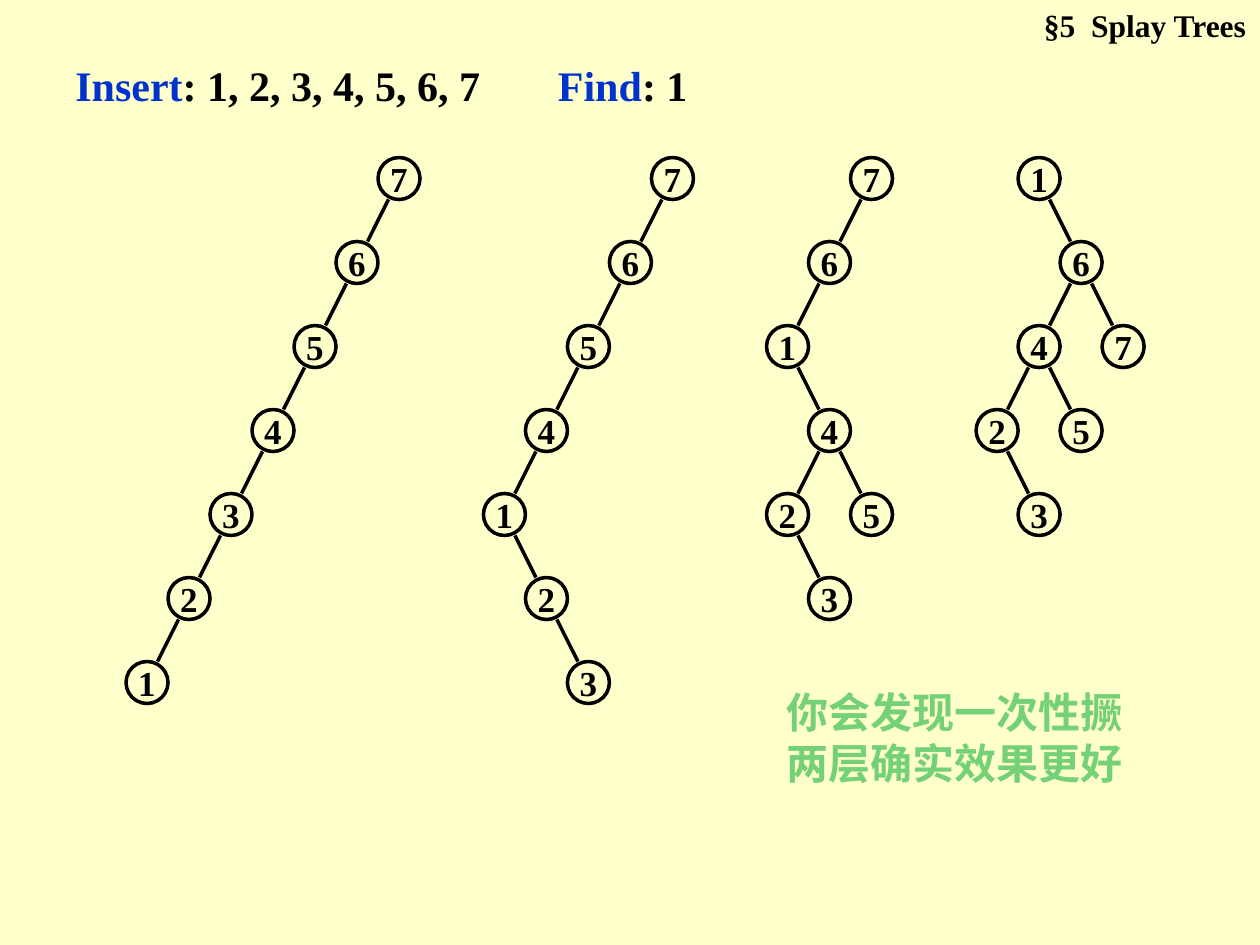
from lxml.etree import SubElement
from pptx import Presentation
from pptx.dml.color import RGBColor
from pptx.enum.shapes import MSO_CONNECTOR, MSO_SHAPE
from pptx.enum.text import MSO_ANCHOR, MSO_AUTO_SIZE, PP_ALIGN
from pptx.oxml.ns import qn
from pptx.util import Inches, Pt

CREAM = RGBColor(0xFF, 0xFF, 0xCC)
BLACK = RGBColor(0x00, 0x00, 0x00)
BLUE = RGBColor(0x00, 0x33, 0xCC)
GREEN = RGBColor(0x75, 0xD1, 0x75)
FONT = "Times New Roman"

NODE = 1 / 3
LEVEL = 2 * NODE
ROOT_TOP = 1.25

SUBTREE_4 = ("4", ("2", None, ("3", None, None)), ("5", None, None))


def left_chain(labels, bottom=None):
    tree = bottom
    for label in labels:
        tree = (label, tree, None)
    return tree


SPLAYED_1 = ("1", None, ("2", None, ("3", None, None)))
TREES = [
    (3, left_chain("1234567")),
    (5.17, left_chain("4567", SPLAYED_1)),
    (6.75, left_chain("67", ("1", None, SUBTREE_4))),
    (8.08, ("1", None, ("6", SUBTREE_4, ("7", None, None)))),
]


def add_runs(para, runs, size):
    for text, color in runs:
        span = para.add_run()
        span.text = text
        span.font.name = FONT
        span.font.size = Pt(size)
        span.font.bold = True
        span.font.color.rgb = color


def fill_text(box, runs, size, align=PP_ALIGN.LEFT):
    frame = box.text_frame
    frame.word_wrap = True
    frame.auto_size = MSO_AUTO_SIZE.NONE
    frame.vertical_anchor = MSO_ANCHOR.TOP
    para = frame.paragraphs[0]
    para.alignment = align
    add_runs(para, runs, size)


def add_title(page):
    title = page.shapes.title
    title.left, title.top = Inches(7.83), Inches(0)
    title.width, title.height = Inches(2.16), Inches(0.4)
    fill_text(title, [("§5  Splay Trees", BLACK)], 18, PP_ALIGN.RIGHT)


def add_text(page, left, top, width, height, runs):
    box = page.shapes.add_textbox(
        Inches(left), Inches(top), Inches(width), Inches(height)
    )
    fill_text(box, runs, 24)


def add_node(group, left, top, label):
    node = group.shapes.add_shape(
        MSO_SHAPE.OVAL, Inches(left), Inches(top), Inches(NODE), Inches(NODE)
    )
    node.shadow.inherit = False
    node.fill.background()
    node.line.color.rgb = BLACK
    node.line.width = Pt(2)
    frame = node.text_frame
    frame.word_wrap = False
    frame.vertical_anchor = MSO_ANCHOR.MIDDLE
    para = frame.paragraphs[0]
    para.alignment = PP_ALIGN.CENTER
    add_runs(para, [(label, BLACK)], 20)


def add_edge(group, left, top, side):
    center = left + NODE / 2
    edge = group.shapes.add_connector(
        MSO_CONNECTOR.STRAIGHT,
        Inches(center + side * NODE / 4),
        Inches(top + NODE),
        Inches(center + side * NODE * 3 / 4),
        Inches(top + LEVEL),
    )
    edge.line.color.rgb = BLACK
    edge.line.width = Pt(2)
    properties = edge._element.find(qn("p:spPr"))
    SubElement(properties, qn("a:effectLst"))


def add_tree(group, left, top, tree):
    label, *children = tree
    add_node(group, left, top, label)
    for side, child in zip((-1, 1), children):
        if child:
            add_edge(group, left, top, side)
            add_tree(group, left + side * NODE, top + LEVEL, child)


def main():
    deck = Presentation()
    deck.slide_width, deck.slide_height = Inches(10), Inches(7.5)
    page = deck.slides.add_slide(deck.slide_layouts[5])
    page.background.fill.solid()
    page.background.fill.fore_color.rgb = CREAM

    add_title(page)
    add_text(page, 0.5, 0.42, 4.08, 0.5,
             [("Insert", BLUE), (": 1, 2, 3, 4, 5, 6, 7", BLACK)])
    add_text(page, 4.33, 0.42, 1.42, 0.5, [("Find", BLUE), (": 1", BLACK)])
    for left, tree in TREES:
        add_tree(page.shapes.add_group_shape(), left, ROOT_TOP, tree)
    add_text(page, 6.14, 5.4, 2.95, 0.91,
             [("你会发现一次性撅两层确实效果更好", GREEN)])
    deck.save("out.pptx")


if __name__ == "__main__":
    main()
